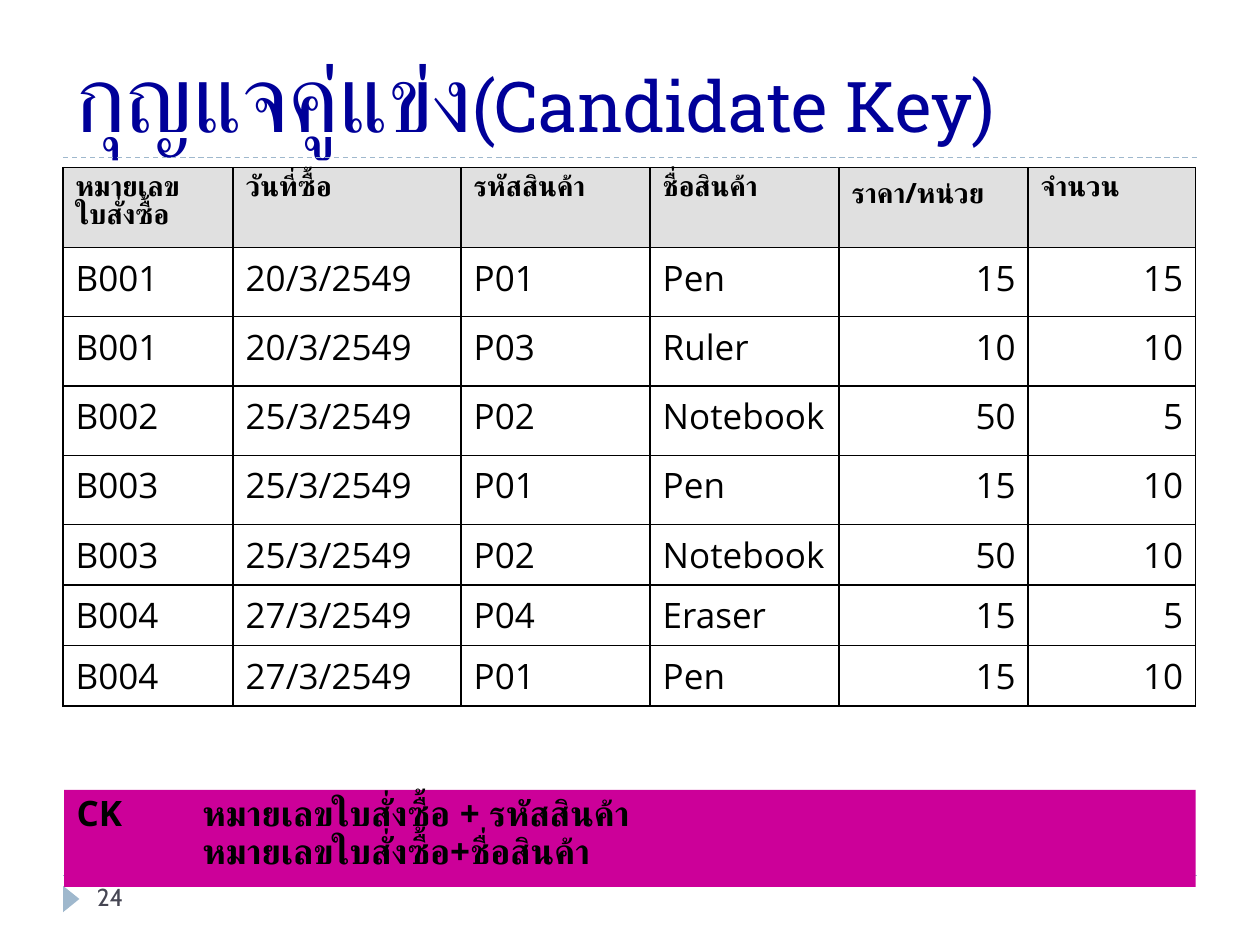
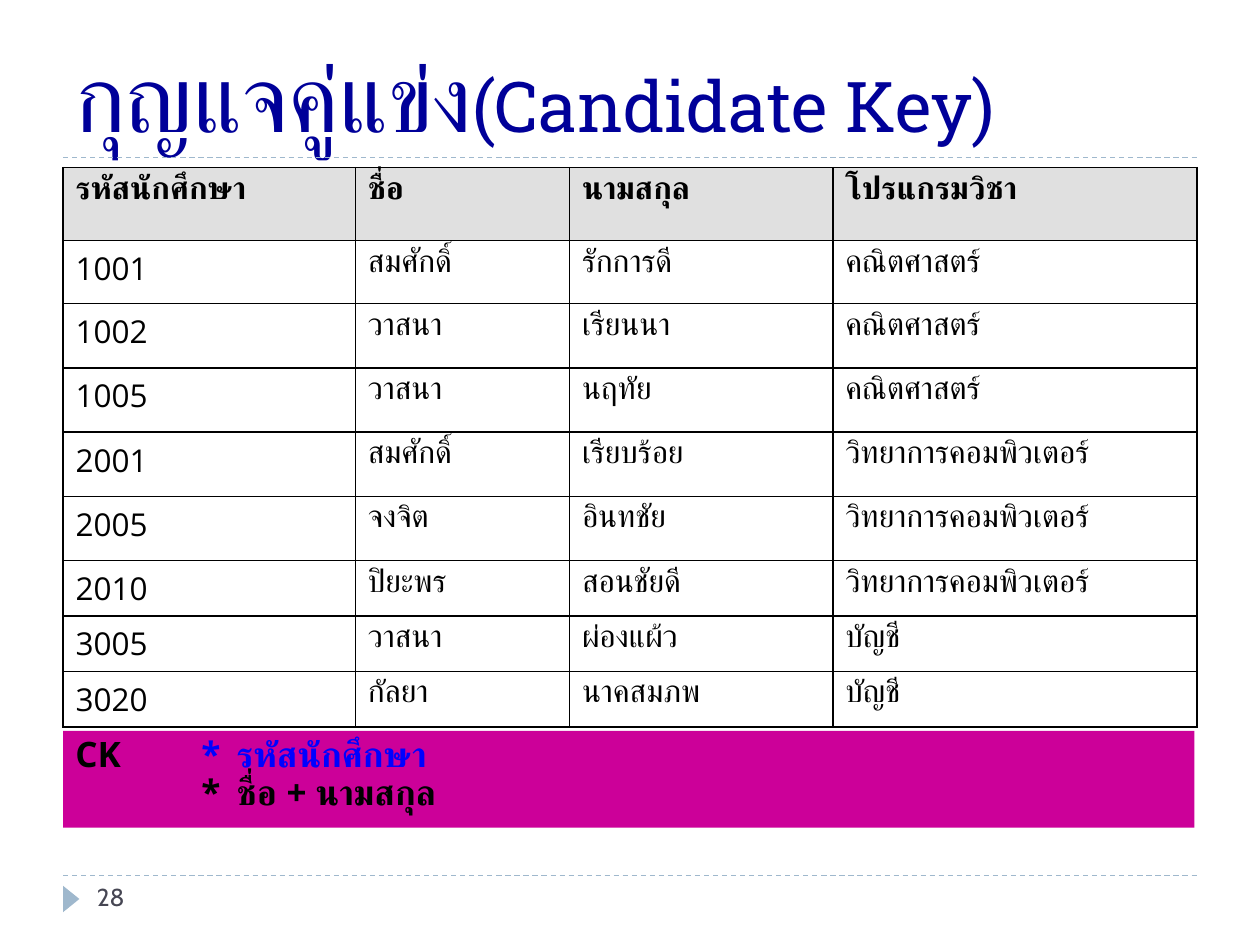
from dataclasses import dataclass

from lxml import etree
from pptx import Presentation
from pptx.dml.color import RGBColor
from pptx.enum.dml import MSO_LINE
from pptx.enum.shapes import MSO_CONNECTOR, MSO_SHAPE
from pptx.enum.text import MSO_ANCHOR, MSO_AUTO_SIZE, PP_ALIGN
from pptx.oxml.ns import qn
from pptx.util import Inches, Pt

LEFT, RIGHT = PP_ALIGN.LEFT, PP_ALIGN.RIGHT
TOP, BOTTOM = MSO_ANCHOR.TOP, MSO_ANCHOR.BOTTOM
DASH = MSO_LINE.DASH
STRAIGHT = MSO_CONNECTOR.STRAIGHT
RECTANGLE, TRIANGLE = MSO_SHAPE.RECTANGLE, MSO_SHAPE.ISOSCELES_TRIANGLE
NO_AUTOFIT = MSO_AUTO_SIZE.NONE

NAVY = RGBColor(0x00, 0x00, 0x99)
STEEL = RGBColor(0x9F, 0xB8, 0xCD)
SLATE = RGBColor(0x46, 0x46, 0x53)
BLACK = RGBColor(0x00, 0x00, 0x00)
BLUE = RGBColor(0x00, 0x00, 0xFF)
MAGENTA = RGBColor(0xCC, 0x00, 0x99)
HEADER_GREY = RGBColor(0xE0, 0xE0, 0xE0)

TITLE_FONT, BODY_FONT, NUMBER_FONT = "Roboto Slab", "Open Sans", "Cabin"
MARGIN, CONTENT_WIDTH = 0.5, 9.0
TITLE_RULE, FOOTER_RULE = 1.25, 6.95
TABLE_TOP = 1.33
HANGING_INDENT = 0.38
KEY_TABS = (1.0, 1.28)


@dataclass
class KeyLine:
    text: str
    color: RGBColor = BLACK


@dataclass
class KeySlide:
    number: int
    columns: list[float]
    row_heights: list[float]
    rows: list[list[str]]
    header_size: int
    body_size: int
    numeric_columns: set[int]
    key_left: float
    key_top: float
    key_lines: list[KeyLine]


def add_run(paragraph, text: str, font: str, size: int, color: RGBColor, bold: bool = False) -> None:
    run = paragraph.add_run()
    run.text = text
    run.font.name = font
    run.font.size = Pt(size)
    run.font.bold = bold
    run.font.color.rgb = color


def add_rule(slide, y: float) -> None:
    rule = slide.shapes.add_connector(
        STRAIGHT, Inches(MARGIN), Inches(y), Inches(MARGIN + CONTENT_WIDTH), Inches(y))
    rule.line.color.rgb = STEEL
    rule.line.width = Pt(0.75)
    rule.line.dash_style = DASH
    etree.SubElement(rule._element.spPr, qn("a:effectLst"))


def add_block(slide, shape_type, left: float, top: float, width: float, height: float,
              color: RGBColor):
    block = slide.shapes.add_shape(
        shape_type, Inches(left), Inches(top), Inches(width), Inches(height))
    block.shadow.inherit = False
    block.fill.solid()
    block.fill.fore_color.rgb = color
    block.line.fill.background()
    return block


def add_frame(slide, number: int) -> None:
    """Rules, page marker, page number and title."""
    add_rule(slide, FOOTER_RULE)
    add_rule(slide, TITLE_RULE)
    marker = add_block(slide, TRIANGLE, 0.46, 7.07, 0.21, 0.13, STEEL)
    marker.rotation = 90

    page = slide.shapes.add_textbox(
        Inches(0.67), Inches(FOOTER_RULE), Inches(2.17), Inches(0.4)).text_frame
    page.word_wrap = True
    add_run(page.paragraphs[0], str(number), NUMBER_FONT, 14, SLATE)

    title = slide.shapes.title
    title.left, title.top = Inches(MARGIN), Inches(0.17)
    title.width, title.height = Inches(CONTENT_WIDTH), Inches(1.08)
    title.text_frame.vertical_anchor = BOTTOM
    title.text_frame.auto_size = NO_AUTOFIT
    heading = title.text_frame.paragraphs[0]
    heading.alignment = LEFT
    add_run(heading, "กุญแจคู่แข่ง", TITLE_FONT, 54, NAVY)
    add_run(heading, "(Candidate Key)", TITLE_FONT, 40, NAVY)


def add_cell_borders(cell) -> None:
    properties = cell._tc.get_or_add_tcPr()
    for side in ("a:lnL", "a:lnR", "a:lnT", "a:lnB"):
        border = etree.SubElement(properties, qn(side), w=str(Pt(1)))
        fill = etree.SubElement(border, qn("a:solidFill"))
        etree.SubElement(fill, qn("a:srgbClr"), val=str(BLACK))


def fill_cell(cell, text: str, size: int, is_header: bool, alignment) -> None:
    add_cell_borders(cell)
    if is_header:
        cell.fill.solid()
        cell.fill.fore_color.rgb = HEADER_GREY
    else:
        cell.fill.background()
    for index, line in enumerate(text.split("\n")):
        frame = cell.text_frame
        paragraph = frame.add_paragraph() if index else frame.paragraphs[0]
        paragraph.alignment = alignment
        properties = paragraph._p.get_or_add_pPr()
        properties.set("marL", str(Inches(HANGING_INDENT)))
        properties.set("indent", str(Inches(-HANGING_INDENT)))
        add_run(paragraph, line, BODY_FONT, size, BLACK, is_header)


def add_data_table(slide, content: KeySlide) -> None:
    table = slide.shapes.add_table(
        len(content.rows), len(content.columns), Inches(MARGIN), Inches(TABLE_TOP),
        Inches(CONTENT_WIDTH), Inches(sum(content.row_heights))).table
    table.first_row = table.horz_banding = False
    for column, width in zip(table.columns, content.columns):
        column.width = Inches(width)
    for row, height in zip(table.rows, content.row_heights):
        row.height = Inches(height)
    for r, values in enumerate(content.rows):
        is_header = r == 0
        size = content.header_size if is_header else content.body_size
        for c, value in enumerate(values):
            is_number = not is_header and c in content.numeric_columns
            fill_cell(table.cell(r, c), value, size, is_header, RIGHT if is_number else LEFT)


def add_key_box(slide, content: KeySlide) -> None:
    box = add_block(slide, RECTANGLE, content.key_left, content.key_top, 8.98, 0.77, MAGENTA)
    frame = box.text_frame
    frame.vertical_anchor = TOP
    for index, line in enumerate(content.key_lines):
        paragraph = frame.add_paragraph() if index else frame.paragraphs[0]
        paragraph.alignment = LEFT
        paragraph.line_spacing = 0.9
        stops = etree.SubElement(paragraph._p.get_or_add_pPr(), qn("a:tabLst"))
        for position in KEY_TABS:
            etree.SubElement(stops, qn("a:tab"), pos=str(Inches(position)), algn="l")
        add_run(paragraph, "\t" if index else "CK\t", BODY_FONT, 20, BLACK, True)
        add_run(paragraph, line.text, BODY_FONT, 20, line.color, True)


MATH, COMPUTING, ACCOUNTING = "คณิตศาสตร์", "วิทยาการคอมพิวเตอร์", "บัญชี"

purchase_orders = KeySlide(
    number=24,
    columns=[1.35, 1.81, 1.5, 1.5, 1.5, 1.33],
    row_heights=[0.63] + [0.55] * 4 + [0.48] * 3,
    rows=[
        ["หมายเลข\nใบสั่งซื้อ", "วันที่ซื้อ", "รหัสสินค้า", "ชื่อสินค้า", "ราคา/หน่วย", "จำนวน"],
        ["B001", "20/3/2549", "P01", "Pen", "15", "15"],
        ["B001", "20/3/2549", "P03", "Ruler", "10", "10"],
        ["B002", "25/3/2549", "P02", "Notebook", "50", "5"],
        ["B003", "25/3/2549", "P01", "Pen", "15", "10"],
        ["B003", "25/3/2549", "P02", "Notebook", "50", "10"],
        ["B004", "27/3/2549", "P04", "Eraser", "15", "5"],
        ["B004", "27/3/2549", "P01", "Pen", "15", "10"],
    ],
    header_size=16,
    body_size=20,
    numeric_columns={4, 5},
    key_left=0.51,
    key_top=6.27,
    key_lines=[KeyLine("หมายเลขใบสั่งซื้อ + รหัสสินค้า"), KeyLine("หมายเลขใบสั่งซื้อ+ชื่อสินค้า")],
)

students = KeySlide(
    number=28,
    columns=[2.32, 1.7, 2.09, 2.89],
    row_heights=[0.58, 0.5] + [0.51] * 4 + [0.44] * 3,
    rows=[
        ["รหัสนักศึกษา", "ชื่อ", "นามสกุล", "โปรแกรมวิชา"],
        ["1001", "สมศักดิ์", "รักการดี", MATH],
        ["1002", "วาสนา", "เรียนนา", MATH],
        ["1005", "วาสนา", "นฤทัย", MATH],
        ["2001", "สมศักดิ์", "เรียบร้อย", COMPUTING],
        ["2005", "จงจิต", "อินทชัย", COMPUTING],
        ["2010", "ปิยะพร", "สอนชัยดี", COMPUTING],
        ["3005", "วาสนา", "ผ่องแผ้ว", ACCOUNTING],
        ["3020", "กัลยา", "นาคสมภพ", ACCOUNTING],
    ],
    header_size=18,
    body_size=18,
    numeric_columns=set(),
    key_left=0.5,
    key_top=5.8,
    key_lines=[KeyLine("*\tรหัสนักศึกษา", BLUE), KeyLine("*\tชื่อ + นามสกุล")],
)

deck = Presentation()
deck.slide_width, deck.slide_height = Inches(10), Inches(7.5)
title_only = deck.slide_layouts[5]
for content in (purchase_orders, students):
    slide = deck.slides.add_slide(title_only)
    add_frame(slide, content.number)
    add_data_table(slide, content)
    add_key_box(slide, content)
deck.save("out.pptx")
